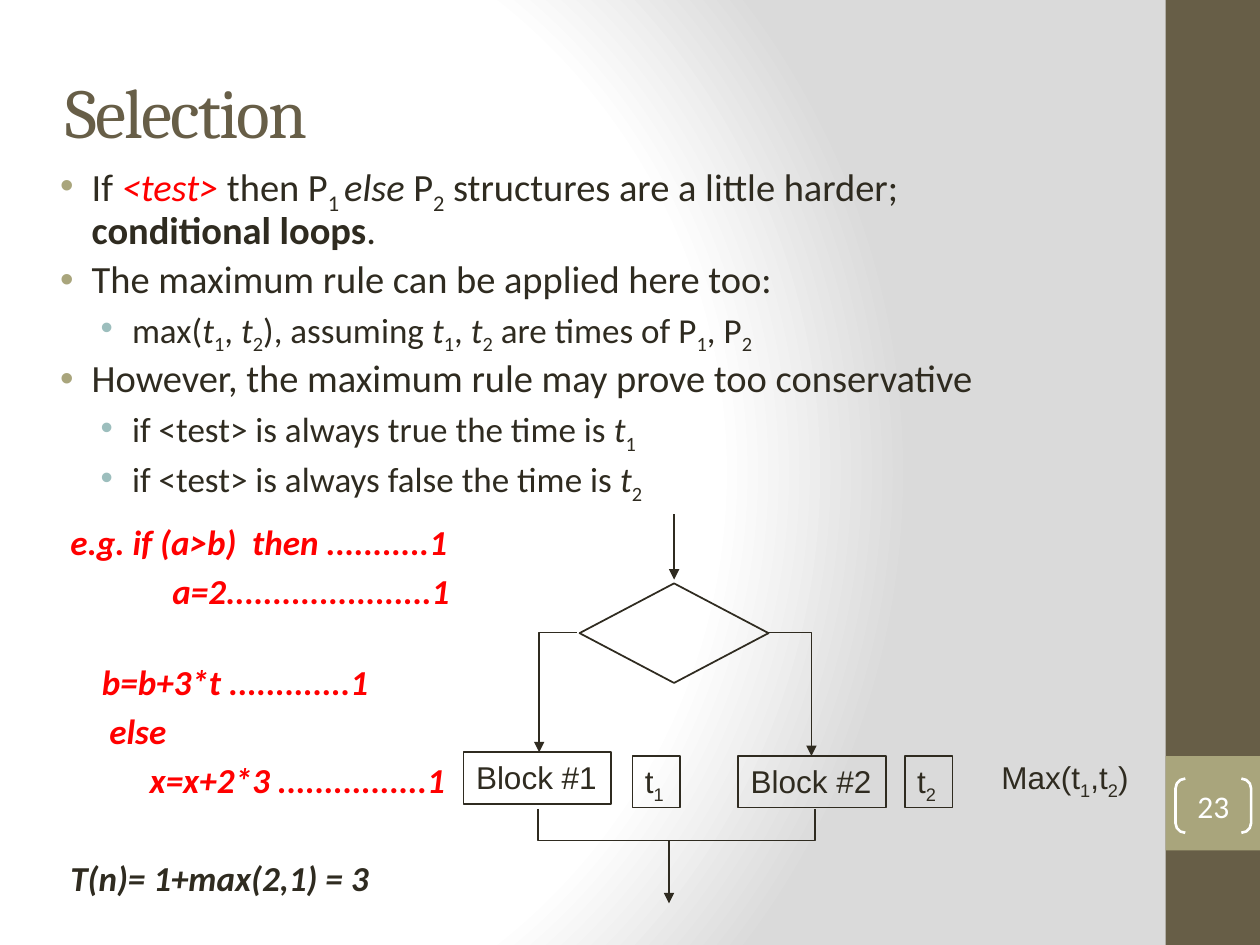
from lxml import etree
from pptx import Presentation, util as u
from pptx.dml.color import RGBColor
from pptx.enum import shapes, text
from pptx.oxml import parse_xml
from pptx.oxml.ns import nsdecls, qn

PX = 9144  # 100 px to the inch
INK, BROWN, OLIVE, TEAL = "2F2B20", "675E47", "A9A57C", "9CBEBD"
RED, WHITE = "FF0000", "FFFFFF"


def rgb(value):
    return RGBColor.from_string(value)


def add_runs(paragraph, runs, font, size, color):
    """Style letters: b bold, i italic, s subscript, r red."""
    for words, style in runs:
        run = paragraph.add_run()
        run.text = words
        run.font.name, run.font.size = font, u.Pt(size)
        run.font.bold, run.font.italic = "b" in style, "i" in style
        run.font.color.rgb = rgb(RED if "r" in style else color)
        if "s" in style:
            run._r.get_or_add_rPr().set("baseline", "-25000")


prs = Presentation()
prs.slide_width, prs.slide_height = 1000 * PX, 750 * PX
slide = prs.slides.add_slide(prs.slide_layouts[6])
canvas = slide.shapes

# Background glow
stops = "".join(
    f'<a:gs pos="{position}"><a:srgbClr val="{color}"/></a:gs>'
    for position, color in ((0, WHITE), (75000, WHITE), (100000, "DADADA")))
slide._element.cSld.insert(0, parse_xml(
    f'<p:bg {nsdecls("p", "a")}><p:bgPr><a:gradFill rotWithShape="1">'
    f'<a:gsLst>{stops}</a:gsLst><a:path path="circle">'
    '<a:fillToRect l="20000" t="50000" r="100000" b="50000"/></a:path>'
    '</a:gradFill><a:effectLst/></p:bgPr></p:bg>'))

# Side band and page number
for top, height, color in ((0, 750, BROWN), (600, 75, OLIVE)):
    band = canvas.add_shape(shapes.MSO_SHAPE.RECTANGLE,
                            925 * PX, top * PX, 75 * PX, height * PX)
    band.shadow.inherit = False
    band.fill.solid()
    band.fill.fore_color.rgb = rgb(color)
    band.line.fill.background()

page = canvas.add_shape(shapes.MSO_SHAPE.DOUBLE_BRACKET,
                        933 * PX, 618 * PX, 60 * PX, 43 * PX)
page.shadow.inherit = False
page.adjustments[0] = 0.18
page.fill.background()
page.line.color.rgb, page.line.width = rgb(WHITE), u.Pt(1.5)
frame = page.text_frame
frame.margin_left = frame.margin_right = frame.margin_top = frame.margin_bottom = 0
frame.vertical_anchor = text.MSO_ANCHOR.MIDDLE
frame.paragraphs[0].alignment = text.PP_ALIGN.CENTER
add_runs(frame.paragraphs[0], [("23", "")], "Calibri", 18, WHITE)

# Title
frame = canvas.add_textbox(42 * PX, 25 * PX, 833 * PX, 125 * PX).text_frame
frame.word_wrap = True
frame.vertical_anchor = text.MSO_ANCHOR.MIDDLE
add_runs(frame.paragraphs[0], [("Selection", "")], "Cambria", 40, BROWN)
frame.paragraphs[0].runs[0]._r.get_or_add_rPr().set("spc", "-100")

# Bullet points: level, runs
points = [
    (0, [("If ", ""), ("<test> ", "ir"), ("then P", ""), ("1 ", "s"), ("else", "i"),
         (" P", ""), ("2", "s"), (" structures are a little harder; ", ""),
         ("conditional loops", "b"), (".", "")]),
    (0, [("The maximum rule can be applied here too:", "")]),
    (1, [("max(", ""), ("t", "i"), ("1", "s"), (", ", ""), ("t", "i"), ("2", "s"),
         ("), assuming ", ""), ("t", "i"), ("1", "s"), (", ", ""), ("t", "i"),
         ("2", "s"), (" are times of P", ""), ("1", "s"), (", P", ""), ("2", "s")]),
    (0, [("However, the maximum rule may prove too conservative", "")]),
    (1, [("if <test> is always true the time is ", ""), ("t", "i"), ("1", "s")]),
    (1, [("if <test> is always false the time is ", ""), ("t", "i"), ("2", "s")]),
]
levels = [(38, 22, OLIVE), (70, 20, TEAL)]
frame = canvas.add_textbox(25 * PX, 125 * PX, 833 * PX, 275 * PX).text_frame
frame.word_wrap = True
for number, (level, runs) in enumerate(points):
    indent, size, bullet_color = levels[level]
    paragraph = frame.add_paragraph() if number else frame.paragraphs[0]
    paragraph.level = level
    props = paragraph._p.get_or_add_pPr()
    props.set("marL", str(indent * PX))
    props.set("indent", str(-25 * PX))
    bullet = etree.SubElement(props, qn("a:buClr"))
    etree.SubElement(bullet, qn("a:srgbClr")).set("val", bullet_color)
    etree.SubElement(props, qn("a:buFont")).set("typeface", "Arial")
    etree.SubElement(props, qn("a:buChar")).set("char", "•")
    paragraph.line_spacing = 0.9
    if number:
        paragraph.space_before = u.Pt(size * 0.2)
    add_runs(paragraph, runs, "Calibri", size, INK)

# Worked example: indent, space before in points, line, colour
example = [
    (13, 0, "e.g. if (a>b)  then ...........1", RED),
    (94, 4, "a=2......................1", RED),
    (38, 28, "b=b+3*t .............1", RED),
    (44, 4, "else", RED),
    (76, 4, "x=x+2*3 ................1", RED),
    (13, 32, "T(n)= 1+max(2,1) = 3", INK),
]
frame = canvas.add_textbox(33 * PX, 408 * PX, 368 * PX, 308 * PX).text_frame
frame.word_wrap = True
for number, (indent, gap, line, color) in enumerate(example):
    paragraph = frame.add_paragraph() if number else frame.paragraphs[0]
    paragraph._p.get_or_add_pPr().set("marL", str(indent * PX))
    if number:
        paragraph.space_before = u.Pt(gap)
    add_runs(paragraph, [(line, "bi")], "Calibri", 20, color)

# Flow chart: nodes
decision, box = shapes.MSO_SHAPE.FLOWCHART_DECISION, shapes.MSO_SHAPE.RECTANGLE
nodes = [
    (decision, 460, 463, 150, 79, []),
    (box, 368, 597, 117, 41, [("Block #1", "")]),
    (box, 586, 600, 117, 41, [("Block #2", "")]),
    (box, 502, 600, 38, 41, [("t", ""), ("1", "s")]),
    (box, 718, 600, 38, 41, [("t", ""), ("2", "s")]),
]
for kind, left, top, width, height, runs in nodes:
    node = canvas.add_shape(kind, left * PX, top * PX, width * PX, height * PX)
    node.shadow.inherit = False
    node.fill.background()
    node.line.color.rgb, node.line.width = rgb(INK), u.Pt(1)
    if runs:
        frame = node.text_frame
        frame.word_wrap = False
        frame.auto_size = text.MSO_AUTO_SIZE.SHAPE_TO_FIT_TEXT
        frame.vertical_anchor = text.MSO_ANCHOR.TOP
        frame.paragraphs[0].alignment = text.PP_ALIGN.LEFT
        add_runs(frame.paragraphs[0], runs, "Arial", 18, INK)

frame = canvas.add_textbox(785 * PX, 597 * PX, 123 * PX, 40 * PX).text_frame
frame.word_wrap = False
add_runs(frame.paragraphs[0],
         [("Max(t", ""), ("1", "s"), (",t", ""), ("2", "s"), (")", "")],
         "Arial", 18, INK)

# Flow chart: arrows
straight, elbow = shapes.MSO_CONNECTOR.STRAIGHT, shapes.MSO_CONNECTOR.ELBOW
arrows = [
    (straight, 535, 408, 535, 460),
    (elbow, 458, 502, 428, 597),
    (elbow, 610, 502, 644, 600),
    (straight, 531, 667, 531, 717),
]
for kind, *ends in arrows:
    arrow = canvas.add_connector(kind, *(end * PX for end in ends))
    arrow.line.color.rgb, arrow.line.width = rgb(INK), u.Pt(1)
    props = arrow._element.spPr
    if kind == elbow:
        props.find(qn("a:prstGeom")).set("prst", "bentConnector2")
    etree.SubElement(props.find(qn("a:ln")), qn("a:tailEnd")).set("type", "triangle")
    etree.SubElement(props, qn("a:effectLst"))

# Flow chart: both branches join again
outline = canvas.build_freeform(427, 642, scale=PX)
outline.add_line_segments([(427, 667), (647, 667), (647, 642)], close=False)
join = outline.convert_to_shape()
join.shadow.inherit = False
join.fill.background()
join.line.color.rgb, join.line.width = rgb(INK), u.Pt(1)

prs.save("out.pptx")
